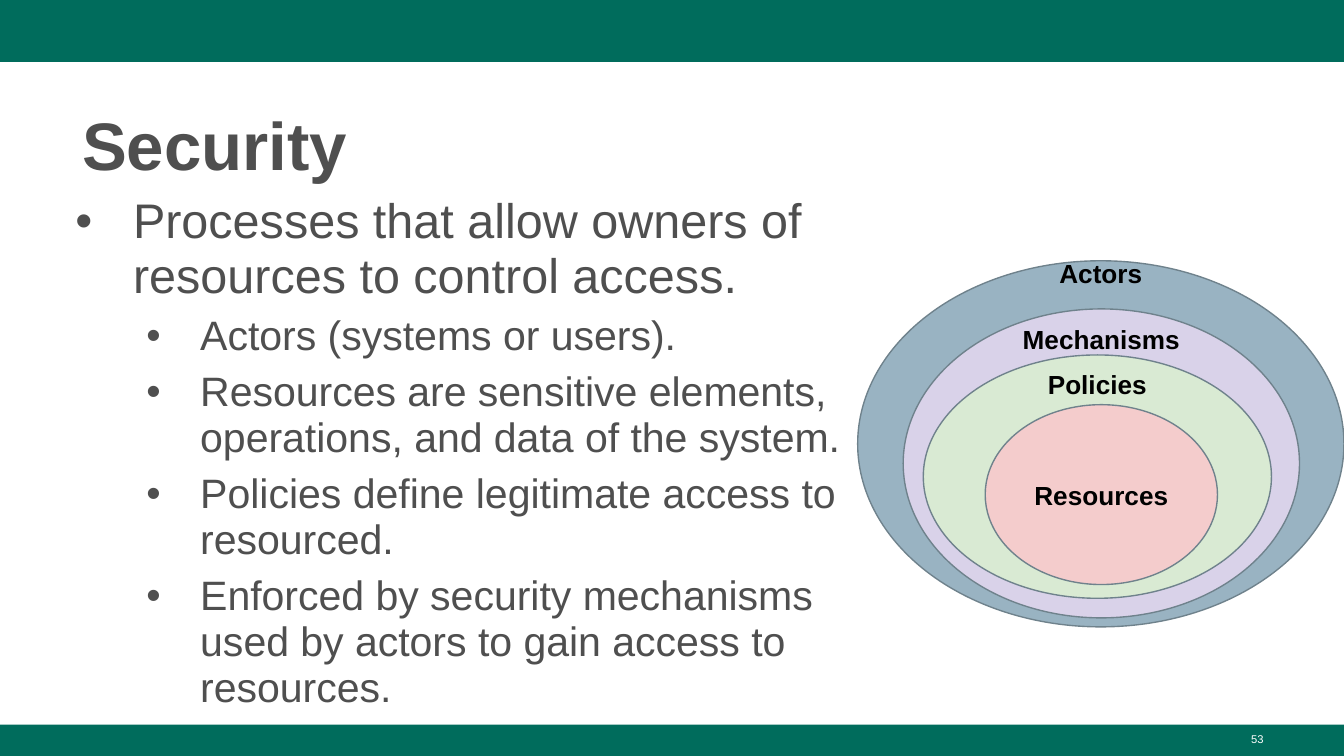
"""Build the Security slide with its nested access-layer diagram."""
from dataclasses import dataclass

import lxml.etree
import pptx
import pptx.dml.color
import pptx.enum.shapes
import pptx.enum.text
import pptx.oxml.ns
import pptx.presentation
import pptx.shapes.base
import pptx.slide
import pptx.text.text
import pptx.util
from pptx.util import Cm

FONT = "Arial"
COLOURS = {
    "band": "006C5C",
    "text": "4F4F4F",
    "label": "000000",
    "number": "FFFFFF",
    "outline": "6F828C",
    "actors": "99B3C2",
    "mechanisms": "D9D2E9",
    "policies": "D9EAD3",
    "resources": "F4CCCC",
}
SLIDE_WIDTH, SLIDE_HEIGHT = 25.4, 14.29
LABEL_HEIGHT = 0.8


@dataclass(frozen=True)
class Box:
    """A rectangle in centimetres."""
    left: float
    top: float
    width: float
    height: float

    def lengths(self) -> tuple[Cm, Cm, Cm, Cm]:
        """Return the position and size as lengths."""
        return Cm(self.left), Cm(self.top), Cm(self.width), Cm(self.height)


@dataclass(frozen=True)
class Layer:
    """One ellipse of the diagram and the height of its label's centre."""
    label: str
    box: Box
    label_centre: float


@dataclass(frozen=True)
class BulletStyle:
    """Formatting of one list level."""
    size: float
    margin: float
    hanging: float
    space_before: float


BANDS = [Box(0, 0, SLIDE_WIDTH, 1.17), Box(0, 13.7, SLIDE_WIDTH, 0.59)]
LAYERS = [
    Layer("Actors", Box(16.21, 4.93, 9.19, 6.92), 5.16),
    Layer("Mechanisms", Box(17.07, 5.84, 7.49, 5.84), 6.41),
    Layer("Policies", Box(17.45, 6.71, 6.58, 4.6), 7.26),
    Layer("Resources", Box(18.62, 7.65, 4.39, 3.4), 9.35),
]
BULLET_STYLES = [BulletStyle(26, 1.27, 1.09, 0), BulletStyle(22, 2.54, 1.02, 5)]
BULLETS = [
    (0, "Processes that allow owners of resources to control access."),
    (1, "Actors (systems or users)."),
    (1, "Resources are sensitive elements, operations, and data of the system."),
    (1, "Policies define legitimate access to resourced."),
    (1, "Enforced by security mechanisms used by actors to gain access to resources."),
]


def colour(name: str) -> pptx.dml.color.RGBColor:
    """Look up a named colour."""
    return pptx.dml.color.RGBColor.from_string(COLOURS[name])


def set_font(paragraph: pptx.text.text._Paragraph, size: float, colour_name: str, bold: bool = False) -> None:
    """Set the font of a whole paragraph."""
    font = paragraph.font
    font.name, font.size, font.bold = FONT, pptx.util.Pt(size), bold
    font.color.rgb = colour(colour_name)


def place(shape: pptx.shapes.base.BaseShape, box: Box) -> None:
    """Move and resize a shape."""
    shape.left, shape.top, shape.width, shape.height = box.lengths()


def add_filled_shape(slide: pptx.slide.Slide, kind: pptx.enum.shapes.MSO_SHAPE, box: Box,
                     fill: str, outline: str | None = None) -> None:
    """Draw a flat preset shape."""
    shape = slide.shapes.add_shape(kind, *box.lengths())
    shape.shadow.inherit = False
    shape.fill.solid()
    shape.fill.fore_color.rgb = colour(fill)
    if outline is None:
        shape.line.fill.background()
    else:
        shape.line.color.rgb = colour(outline)
        shape.line.width = pptx.util.Pt(0.75)


def add_text(slide: pptx.slide.Slide, box: Box, text: str, size: float, colour_name: str,
             alignment: pptx.enum.text.PP_ALIGN, bold: bool = False) -> None:
    """Add a one-line text box, centred vertically."""
    frame = slide.shapes.add_textbox(*box.lengths()).text_frame
    frame.word_wrap = True
    frame.vertical_anchor = pptx.enum.text.MSO_ANCHOR.MIDDLE
    frame.margin_top = frame.margin_bottom = 0
    paragraph = frame.paragraphs[0]
    paragraph.text = text
    paragraph.alignment = alignment
    set_font(paragraph, size, colour_name, bold)


def add_layer(slide: pptx.slide.Slide, layer: Layer) -> None:
    """Draw one ellipse with its label."""
    box = layer.box
    add_filled_shape(slide, pptx.enum.shapes.MSO_SHAPE.OVAL, box, layer.label.lower(), "outline")
    label_box = Box(box.left, layer.label_centre - LABEL_HEIGHT / 2, box.width, LABEL_HEIGHT)
    add_text(slide, label_box, layer.label, 14, "label", pptx.enum.text.PP_ALIGN.CENTER, True)


def format_bullet(paragraph: pptx.text.text._Paragraph, style: BulletStyle) -> None:
    """Apply the bullet, indents, spacing and font of a list level."""
    qn = pptx.oxml.ns.qn
    properties = paragraph._p.get_or_add_pPr()
    properties.set("marL", str(Cm(style.margin)))
    properties.set("indent", str(-Cm(style.hanging)))
    bullet_colour = lxml.etree.SubElement(properties, qn("a:buClr"))
    lxml.etree.SubElement(bullet_colour, qn("a:srgbClr"), val=COLOURS["text"])
    lxml.etree.SubElement(properties, qn("a:buFont"), typeface=FONT)
    lxml.etree.SubElement(properties, qn("a:buChar"), char="•")
    paragraph.line_spacing = 0.94
    paragraph.space_before = pptx.util.Pt(style.space_before)
    set_font(paragraph, style.size, "text")


def fill_title(title: pptx.shapes.base.BaseShape) -> None:
    """Place and format the title."""
    place(title, Box(1.3, 1.7, 22.83, 1.85))
    frame = title.text_frame
    frame.auto_size = pptx.enum.text.MSO_AUTO_SIZE.NONE
    frame.vertical_anchor = pptx.enum.text.MSO_ANCHOR.BOTTOM
    frame.margin_bottom = Cm(0.07)
    paragraph = frame.paragraphs[0]
    paragraph.text = "Security"
    paragraph.alignment = pptx.enum.text.PP_ALIGN.LEFT
    paragraph.line_spacing = 1.08
    set_font(paragraph, 36, "text", True)


def fill_body(body: pptx.shapes.base.BaseShape) -> None:
    """Place the body and write its bullet list."""
    place(body, Box(0.99, 3.56, 15.24, 9.68))
    frame = body.text_frame
    frame.auto_size = pptx.enum.text.MSO_AUTO_SIZE.NONE
    frame.vertical_anchor = pptx.enum.text.MSO_ANCHOR.TOP
    for index, (level, text) in enumerate(BULLETS):
        paragraph = frame.add_paragraph() if index else frame.paragraphs[0]
        paragraph.text = text
        paragraph.level = level
        format_bullet(paragraph, BULLET_STYLES[level])


def main() -> None:
    """Build and save the presentation."""
    presentation = pptx.Presentation()
    presentation.slide_width, presentation.slide_height = Cm(SLIDE_WIDTH), Cm(SLIDE_HEIGHT)
    slide = presentation.slides.add_slide(presentation.slide_layouts[1])
    for band in BANDS:
        add_filled_shape(slide, pptx.enum.shapes.MSO_SHAPE.RECTANGLE, band, "band")
    fill_title(slide.shapes.title)
    fill_body(slide.placeholders[1])
    add_text(slide, Box(18.21, 13.7, 5.92, 0.55), "53", 6, "number", pptx.enum.text.PP_ALIGN.RIGHT)
    for layer in LAYERS:
        add_layer(slide, layer)
    presentation.save("out.pptx")


if __name__ == "__main__":
    main()
